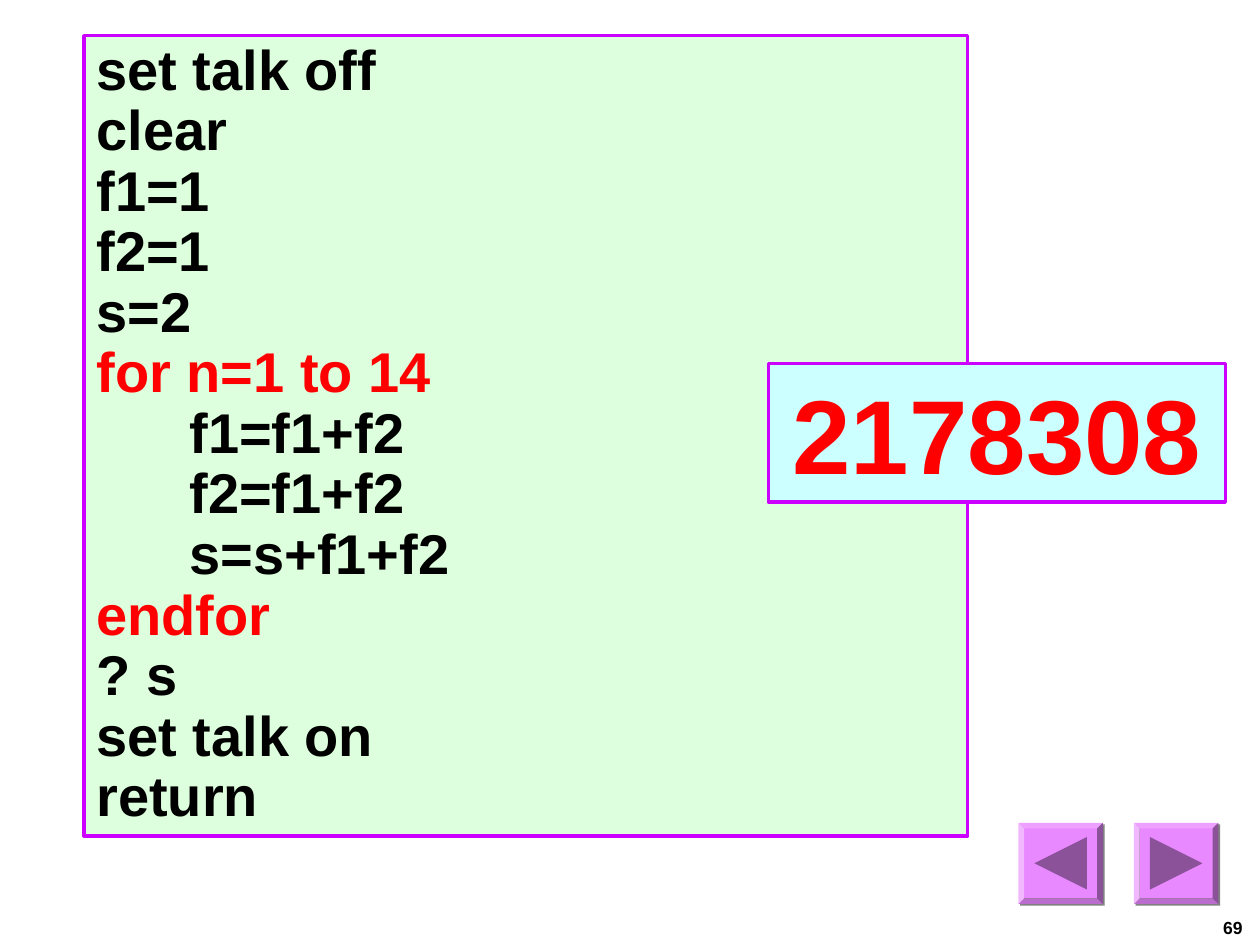
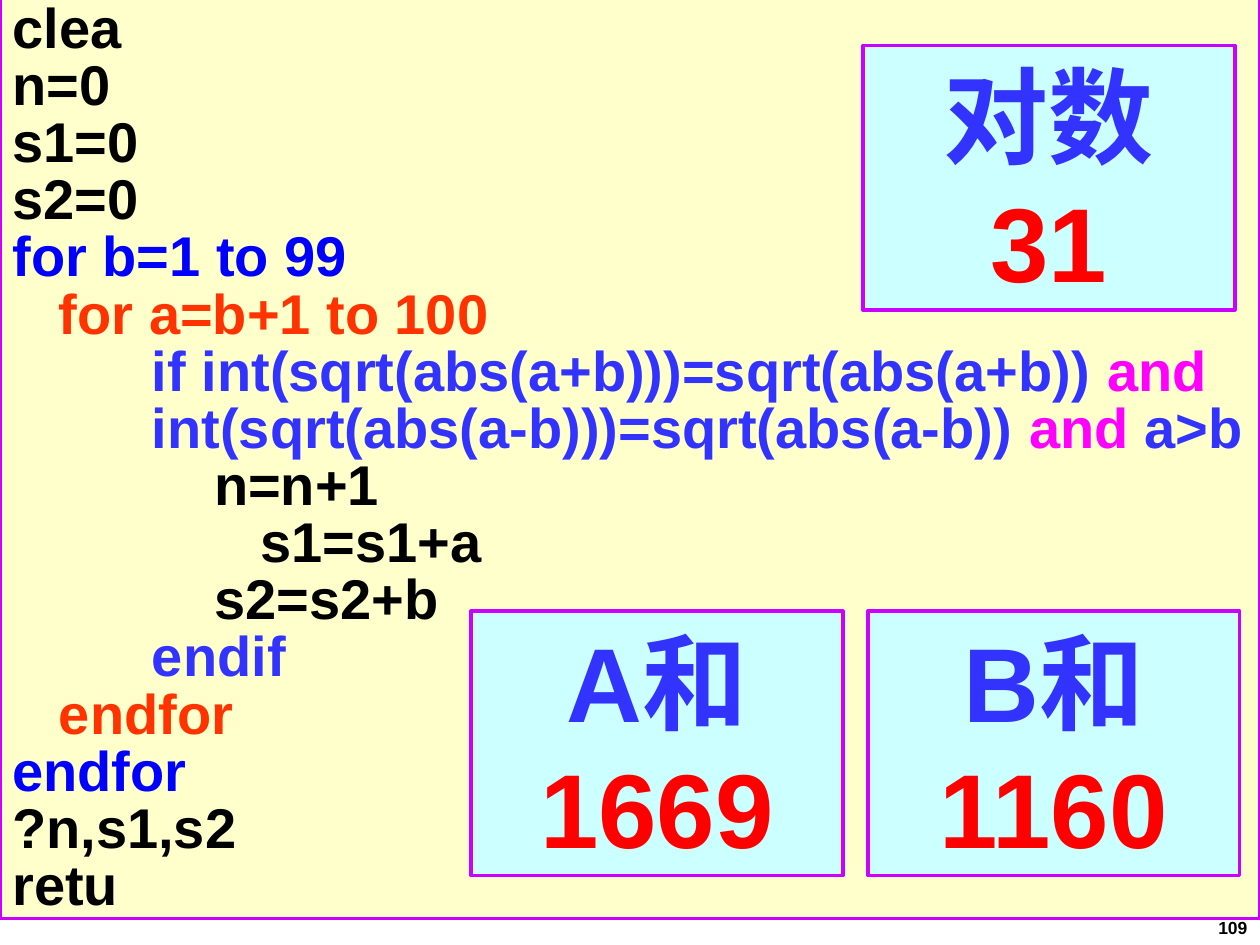
from dataclasses import dataclass
from typing import NamedTuple

from lxml.etree import SubElement
from pptx import Presentation
from pptx.dml.color import RGBColor
from pptx.enum.shapes import MSO_SHAPE
from pptx.enum.text import MSO_ANCHOR, PP_ALIGN
from pptx.oxml.ns import qn
from pptx.slide import Slide
from pptx.text.text import TextFrame
from pptx.util import Pt

BLACK = RGBColor(0x00, 0x00, 0x00)
RED = RGBColor(0xFF, 0x00, 0x00)
BLUE = RGBColor(0x00, 0x00, 0xFF)
INDIGO = RGBColor(0x33, 0x33, 0xFF)
ORANGE = RGBColor(0xFF, 0x33, 0x00)
MAGENTA = RGBColor(0xFF, 0x00, 0xFF)
PURPLE = RGBColor(0xCC, 0x00, 0xFF)
PALE_GREEN = RGBColor(0xDD, 0xFF, 0xDD)
PALE_YELLOW = RGBColor(0xFF, 0xFF, 0xCC)
PALE_CYAN = RGBColor(0xCC, 0xFF, 0xFF)
BUTTON_FILL = RGBColor(0xE9, 0x89, 0xFF)
BUTTON_ARROW = RGBColor(0x8B, 0x52, 0x99)

CODE_FORMAT = {"name": "Arial", "size": Pt(32), "bold": True}
RESULT_FORMAT = {"name": "Arial", "size": Pt(60), "bold": True}
NUMBER_FORMAT = {"name": "Arial", "size": Pt(10), "bold": True}
INSETS = {
    "margin_left": Pt(7.2),
    "margin_right": Pt(7.2),
    "margin_top": Pt(3.6),
    "margin_bottom": Pt(3.6),
}
BUTTON_WIDTH, BUTTON_HEIGHT, BUTTON_TOP = 48.24, 46.4, 470.16
ARROW_SIZE = 30


class Span(NamedTuple):
    text: str
    color: RGBColor = BLACK


Line = list[Span]


@dataclass
class Panel:
    left: float
    top: float
    width: float
    height: float
    fill: RGBColor
    lines: list[Line]
    text_format: dict
    align: PP_ALIGN = PP_ALIGN.LEFT
    spacing: float = 1.0


class Button(NamedTuple):
    left: float
    points_right: bool


def result_panel(left: float, top: float, width: float, height: float, lines: list[Line]) -> Panel:
    return Panel(left, top, width, height, PALE_CYAN, lines, RESULT_FORMAT, PP_ALIGN.CENTER)


def pair_panel(left: float, top: float, label: str, value: str) -> Panel:
    return result_panel(left, top, 212.4, 151.2, [[Span(label, INDIGO)], [Span(value, RED)]])


def set_values(target: object, values: dict) -> None:
    for name, value in values.items():
        setattr(target, name, value)


def write_lines(
    frame: TextFrame, lines: list[Line], text_format: dict, align: PP_ALIGN, spacing: float
) -> None:
    set_values(frame, INSETS)
    for index, line in enumerate(lines):
        para = frame.add_paragraph() if index else frame.paragraphs[0]
        set_values(para, {"alignment": align, "line_spacing": spacing})
        for span in line:
            run = para.add_run()
            run.text = span.text
            set_values(run.font, text_format)
            run.font.color.rgb = span.color


def draw_panel(page: Slide, panel: Panel) -> None:
    box = page.shapes.add_shape(
        MSO_SHAPE.RECTANGLE, Pt(panel.left), Pt(panel.top), Pt(panel.width), Pt(panel.height)
    )
    box.shadow.inherit = False
    box.fill.solid()
    box.fill.fore_color.rgb = panel.fill
    box.line.color.rgb = PURPLE
    box.line.width = Pt(2)
    set_values(box.text_frame, {"word_wrap": True, "vertical_anchor": MSO_ANCHOR.TOP})
    write_lines(box.text_frame, panel.lines, panel.text_format, panel.align, panel.spacing)


def draw_button(page: Slide, button: Button) -> None:
    face = page.shapes.add_shape(
        MSO_SHAPE.BEVEL, Pt(button.left), Pt(BUTTON_TOP), Pt(BUTTON_WIDTH), Pt(BUTTON_HEIGHT)
    )
    face.adjustments[0] = 0.07
    face.shadow.inherit = False
    effects = face._element.spPr.find(qn("a:effectLst"))
    shadow = SubElement(effects, qn("a:outerShdw"), dist=str(Pt(1.4)), dir="2700000")
    SubElement(shadow, qn("a:srgbClr"), val="808080")

    center_x = button.left + BUTTON_WIDTH / 2
    center_y = BUTTON_TOP + BUTTON_HEIGHT / 2
    half = ARROW_SIZE / 2
    reach = half if button.points_right else -half
    builder = page.shapes.build_freeform(Pt(center_x + reach), Pt(center_y))
    builder.add_line_segments(
        [(Pt(center_x - reach), Pt(center_y + side)) for side in (-half, half)]
    )
    arrow = builder.convert_to_shape()
    arrow.shadow.inherit = False
    for shape, color in ((face, BUTTON_FILL), (arrow, BUTTON_ARROW)):
        shape.fill.solid()
        shape.fill.fore_color.rgb = color
        shape.line.fill.background()


def draw_number(page: Slide, number: str) -> None:
    box = page.shapes.add_textbox(Pt(689), Pt(520), Pt(31), Pt(20))
    set_values(box.text_frame, {"word_wrap": False, "vertical_anchor": MSO_ANCHOR.MIDDLE})
    write_lines(box.text_frame, [[Span(number)]], NUMBER_FORMAT, PP_ALIGN.CENTER, 1.0)


FIBONACCI_CODE = [
    [Span("set talk off")],
    [Span("clear")],
    [Span("f1=1")],
    [Span("f2=1")],
    [Span("s=2")],
    [Span("for n=1 to 14", RED)],
    [Span("      f1=f1+f2")],
    [Span("      f2=f1+f2")],
    [Span("      s=s+f1+f2")],
    [Span("endfor", RED)],
    [Span("? s")],
    [Span("set talk on")],
    [Span("return")],
]
SQUARES_CODE = [
    [Span("clea")],
    [Span("n=0")],
    [Span("s1=0")],
    [Span("s2=0")],
    [Span("for b=1 to 99", BLUE)],
    [Span("   for a=b+1 to 100", ORANGE)],
    [Span("         if int(sqrt(abs(a+b)))=sqrt(abs(a+b)) ", INDIGO), Span("and", MAGENTA)],
    [
        Span("         int(sqrt(abs(a-b)))=sqrt(abs(a-b)) ", INDIGO),
        Span("and", MAGENTA),
        Span(" a>b", INDIGO),
    ],
    [Span("             n=n+1")],
    [Span("                s1=s1+a")],
    [Span("             s2=s2+b")],
    [Span("         endif", INDIGO)],
    [Span("   endfor", ORANGE)],
    [Span("endfor", BLUE)],
    [Span("?n,s1,s2")],
    [Span("retu")],
]

FIBONACCI_PANELS = [
    Panel(48, 20.4, 505, 457.2, PALE_GREEN, FIBONACCI_CODE, CODE_FORMAT, spacing=0.9),
    result_panel(439.2, 207.6, 261, 79.2, [[Span("2178308", RED)]]),
]
SQUARES_PANELS = [
    Panel(0, -2, 720, 527, PALE_YELLOW, SQUARES_CODE, CODE_FORMAT, spacing=0.85),
    pair_panel(493.2, 26, "对数", "31"),
    pair_panel(496, 349.2, "B和", "1160"),
    pair_panel(269.2, 349.2, "A和", "1669"),
]
BUTTONS = [Button(648, True), Button(582, False)]


def main() -> None:
    deck = Presentation()
    deck.slide_width, deck.slide_height = Pt(720), Pt(540)
    pages = [("69", FIBONACCI_PANELS, BUTTONS), ("109", SQUARES_PANELS, [])]
    for number, panels, buttons in pages:
        page = deck.slides.add_slide(deck.slide_layouts[6])
        draw_number(page, number)
        for panel in panels:
            draw_panel(page, panel)
        for button in buttons:
            draw_button(page, button)
    deck.save("out.pptx")


if __name__ == "__main__":
    main()
